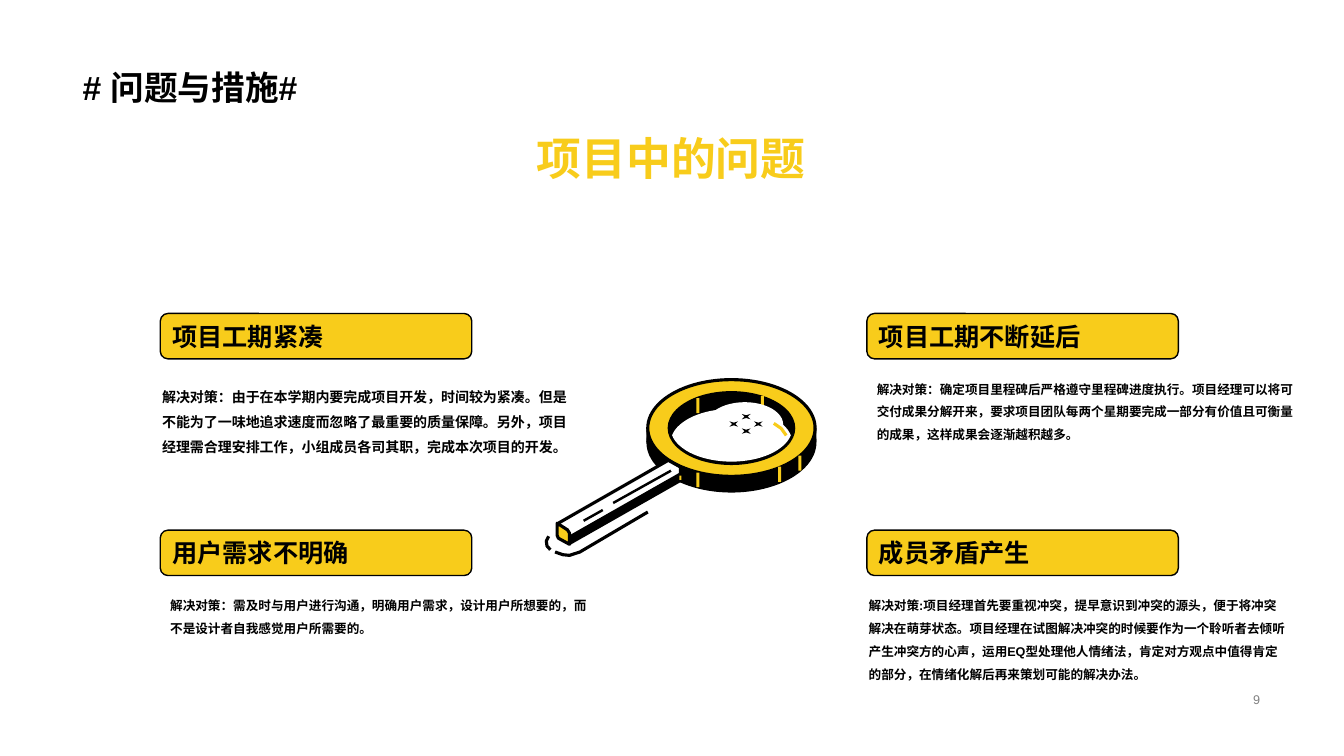
"""Build the project problems slide with four answers around a magnifier."""
from dataclasses import dataclass
from math import asin, cos, pi, sin

from lxml.etree import SubElement
from pptx import Presentation
from pptx.dml.color import RGBColor
from pptx.enum.shapes import MSO_CONNECTOR, MSO_SHAPE as Preset
from pptx.enum.text import MSO_ANCHOR as Anchor, MSO_AUTO_SIZE as AutoSize, PP_ALIGN as Align
from pptx.oxml.ns import qn
from pptx.shapes.autoshape import Shape
from pptx.slide import Slide
from pptx.util import Emu, Pt

CELL = 304800
COLUMNS, ROWS = 40, 22.5
COLORS = {"ink": "000000", "gold": "F8CC1B", "paper": "FFFFFF", "grey": "808080"}
Point = tuple[float, float]


@dataclass
class Area:
    column: float
    row: float
    columns: float
    rows: float

    def emu(self) -> list[Emu]:
        return [cells(n) for n in (self.column, self.row, self.columns, self.rows)]


@dataclass
class TextStyle:
    size: float
    color: str = "ink"
    bold: bool = True
    align: Align = Align.LEFT
    anchor: Anchor = Anchor.TOP
    spacing: float = 1.0
    fit: AutoSize = AutoSize.SHAPE_TO_FIT_TEXT


@dataclass
class Problem:
    label: str
    answer: str
    column: float
    row: float
    answer_area: Area
    size: float = 9


@dataclass
class Outline:
    points: list[Point]
    fill: str | None = None
    line: str | None = "ink"
    width: float = 2.25


PROBLEMS = [
    Problem("项目工期紧凑",
            "解决对策：由于在本学期内要完成项目开发，时间较为紧凑。但是不能为了一味地追求速度而忽略了最重要的质量保障。"
            "另外，项目经理需合理安排工作，小组成员各司其职，完成本次项目的开发。",
            4.77, 9.33, Area(4.53, 11.16, 13.02, 2.49), 10),
    Problem("用户需求不明确",
            "解决对策：需及时与用户进行沟通，明确用户需求，设计用户所想要的，而不是设计者自我感觉用户所需要的。",
            4.77, 15.78, Area(4.77, 17.43, 13.02, 1.59)),
    Problem("项目工期不断延后",
            "解决对策：确定项目里程碑后严格遵守里程碑进度执行。项目经理可以将可交付成果分解开来，"
            "要求项目团队每两个星期要完成一部分有价值且可衡量的成果，这样成果会逐渐越积越多。",
            25.8, 9.33, Area(25.8, 10.98, 13.02, 2.28)),
    Problem("成员矛盾产生",
            "解决对策:项目经理首先要重视冲突，提早意识到冲突的源头，便于将冲突解决在萌芽状态。"
            "项目经理在试图解决冲突的时候要作为一个聆听者去倾听产生冲突方的心声，运用EQ型处理他人情绪法，"
            "肯定对方观点中值得肯定的部分，在情绪化解后再来策划可能的解决办法。",
            25.8, 15.78, Area(25.56, 17.43, 13.02, 2.94)),
]

CENTER_X, CENTER_Y, DEPTH = 21.77, 12.74, 0.43
TICKS = [Area(20.73, 14.07, 0.09, 0.43), Area(23.76, 13.56, 0.09, 0.45),
         Area(23.16, 13.89, 0.09, 0.45), Area(20.73, 11.85, 0.09, 0.45),
         Area(22.65, 11.79, 0.09, 0.45)]
HANDLE_TICK = Area(20.22, 14.16, 0.06, 0.12)
HANDLE = [
    Outline([(16.62, 15.57), (19.89, 13.7), (20.25, 13.9), (20.25, 14.3), (16.96, 16.17)], "paper"),
    Outline([(20.22, 14.07), (20.22, 14.28), (16.95, 16.14), (16.95, 15.93)], "ink", None),
    Outline([(16.58, 15.57), (16.89, 15.77), (16.95, 15.87), (16.95, 16.2),
             (16.62, 16.02), (16.58, 15.93)], "gold"),
    Outline([(16.52, 16.43), (16.75, 16.51), (16.95, 16.53), (17.26, 16.43), (19.28, 15.24)]),
    Outline([(16.33, 15.96), (16.26, 16.1), (16.28, 16.25), (16.38, 16.36)]),
]
GLINT = Outline([(23.03, 12.6), (23.25, 12.75), (23.4, 12.96)], line="gold")
GRIP_LINES = [((18.25, 14.97), (19.97, 14.01)), ((17.37, 15.5), (17.94, 15.18))]
SPARK_CENTERS = [(22.21, 12.83), (22.57, 12.62), (21.84, 12.62), (22.21, 12.4)]
SPARK = [(-0.13, -0.08), (0, -0.04), (0.13, -0.08), (0.05, 0),
         (0.13, 0.08), (0, 0.04), (-0.13, 0.08), (-0.05, 0)]


def cells(count: float) -> Emu:
    return Emu(round(count * CELL))


def color(name: str) -> RGBColor:
    return RGBColor.from_string(COLORS[name])


def write(shape: Shape, text: str, style: TextStyle) -> None:
    frame = shape.text_frame
    frame.text = text
    frame.word_wrap = True
    frame.auto_size = style.fit
    frame.vertical_anchor = style.anchor
    for para in frame.paragraphs:
        para.alignment = style.align
        para.line_spacing = style.spacing
        for span in para.runs:
            span.font.name = "Arial"
            span.font.size = Pt(style.size)
            span.font.bold = style.bold
            span.font.color.rgb = color(style.color)


def add_text(page: Slide, area: Area, text: str, style: TextStyle) -> None:
    write(page.shapes.add_textbox(*area.emu()), text, style)


def paint(shape: Shape, fill: str | None, line: str | None = None, width: float = 1) -> None:
    shape.shadow.inherit = False
    if fill:
        shape.fill.solid()
        shape.fill.fore_color.rgb = color(fill)
    else:
        shape.fill.background()
    if line:
        shape.line.color.rgb = color(line)
        shape.line.width = Pt(width)
    else:
        shape.line.fill.background()


def add_preset(page: Slide, preset: Preset, area: Area, fill: str,
               line: str | None = None, width: float = 1) -> Shape:
    shape = page.shapes.add_shape(preset, *area.emu())
    paint(shape, fill, line, width)
    return shape


def add_ellipse(page: Slide, center: Point, radii: Point, fill: str, line: str | None = None) -> None:
    (x, y), (rx, ry) = center, radii
    add_preset(page, Preset.OVAL, Area(x - rx, y - ry, 2 * rx, 2 * ry), fill, line, 2.25)


def add_outline(page: Slide, outline: Outline) -> None:
    start, *others = [(cells(x), cells(y)) for x, y in outline.points]
    builder = page.shapes.build_freeform(*start)
    builder.add_line_segments(others, close=outline.fill is not None)
    paint(builder.convert_to_shape(), outline.fill, outline.line, outline.width)


def add_line(page: Slide, start: Point, end: Point) -> None:
    line = page.shapes.add_connector(MSO_CONNECTOR.STRAIGHT, *map(cells, (*start, *end)))
    line.line.color.rgb = color("ink")
    line.line.width = Pt(1.75)
    SubElement(line._element.spPr, qn("a:effectLst"))


def lens_points(rx: float, ry: float, steps: int = 32) -> list[Point]:
    edge = asin(DEPTH / 2 / ry)
    angles = [edge + (pi - 2 * edge) * i / steps for i in range(steps + 1)]
    upper = [(CENTER_X - rx * cos(a), CENTER_Y + DEPTH - ry * sin(a)) for a in angles]
    lower = [(CENTER_X + rx * cos(a), CENTER_Y + ry * sin(a)) for a in angles]
    return upper + lower


def add_magnifier(page: Slide) -> None:
    center = (CENTER_X, CENTER_Y)
    add_ellipse(page, (CENTER_X, CENTER_Y + DEPTH), (2.53, 1.49), "ink")
    add_preset(page, Preset.RECTANGLE, Area(CENTER_X - 2.53, CENTER_Y, 5.06, DEPTH), "ink")
    add_ellipse(page, center, (2.49, 1.44), "gold", "ink")
    add_ellipse(page, center, (1.9, 1.1), "ink")
    add_outline(page, Outline(lens_points(1.81, 1.0), "paper", None))
    for tick in TICKS:
        add_preset(page, Preset.RECTANGLE, tick, "gold")
    add_ellipse(page, (22.17, 12.63), (1.14, 0.66), "paper")
    for outline in [*HANDLE, GLINT]:
        add_outline(page, outline)
    for start, end in GRIP_LINES:
        add_line(page, start, end)
    add_preset(page, Preset.RECTANGLE, HANDLE_TICK, "gold")
    for x, y in SPARK_CENTERS:
        add_outline(page, Outline([(x + dx, y + dy) for dx, dy in SPARK], "ink", None))


def main() -> None:
    deck = Presentation()
    deck.slide_width, deck.slide_height = cells(COLUMNS), cells(ROWS)
    page = deck.slides.add_slide(deck.slide_layouts[5])
    title = page.shapes.title
    title.left, title.top, title.width, title.height = Area(2.16, 0, 35.64, 3.36).emu()
    write(title, "# 问题与措施#", TextStyle(24, anchor=Anchor.BOTTOM, spacing=0.9, fit=AutoSize.NONE))
    add_text(page, Area(2.19, 3.72, 35.58, 1.92), "项目中的问题",
             TextStyle(32, "gold", align=Align.CENTER, anchor=Anchor.MIDDLE))
    for problem in PROBLEMS:
        box = add_preset(page, Preset.ROUNDED_RECTANGLE,
                         Area(problem.column, problem.row, 9.27, 1.35), "gold", "ink")
        write(box, problem.label, TextStyle(18, anchor=Anchor.MIDDLE))
        add_text(page, problem.answer_area, problem.answer, TextStyle(problem.size, spacing=1.5))
    add_magnifier(page)
    add_text(page, Area(29.43, 20.46, 8.37, 0.69), "9",
             TextStyle(9, "grey", False, Align.RIGHT, Anchor.MIDDLE, fit=AutoSize.NONE))
    deck.save("out.pptx")


if __name__ == "__main__":
    main()
